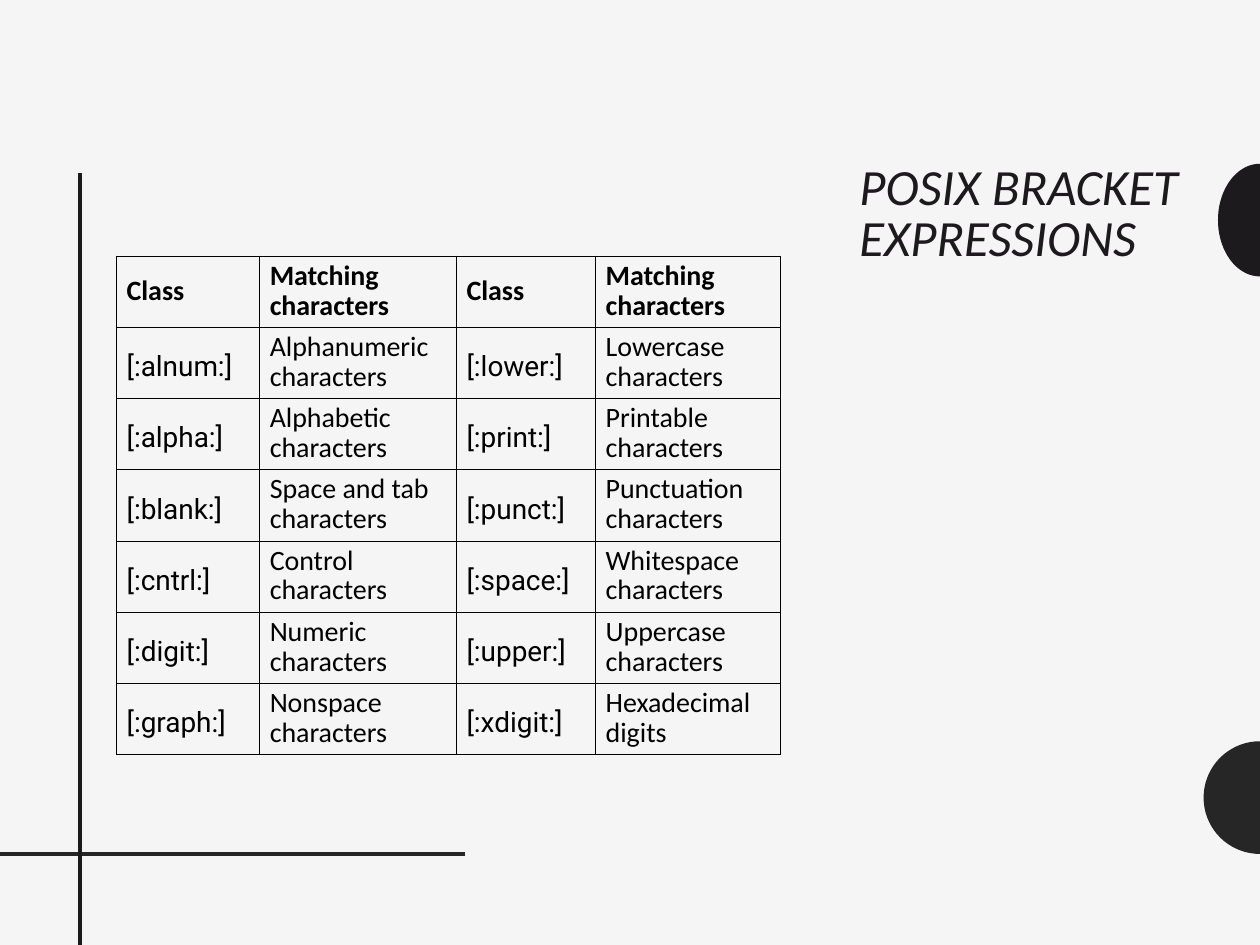
import math

import pptx
import pptx.dml.color
import pptx.enum.shapes
import pptx.enum.text
import pptx.oxml.ns
import pptx.util
from lxml import etree

Pt = pptx.util.Pt
RGBColor = pptx.dml.color.RGBColor

PAPER = RGBColor(0xF5, 0xF5, 0xF5)
CHARCOAL = RGBColor(0x26, 0x26, 0x26)
INK = RGBColor(0x1D, 0x1A, 0x1D)
BLACK = RGBColor(0x00, 0x00, 0x00)

SLIDE_WIDTH, SLIDE_HEIGHT = 720, 540

deck = pptx.Presentation()
deck.slide_width, deck.slide_height = Pt(SLIDE_WIDTH), Pt(SLIDE_HEIGHT)
page = deck.slides.add_slide(deck.slide_layouts[6])
page.background.fill.solid()
page.background.fill.fore_color.rgb = PAPER


def add_half_ellipse(center_y, radius_x, radius_y, color):
    """Draw the left half of an ellipse centred on the right slide edge."""
    points = []
    for step in range(37):
        angle = math.pi * step / 36
        points.append((Pt(SLIDE_WIDTH - radius_x * math.sin(angle)),
                       Pt(center_y - radius_y * math.cos(angle))))
    builder = page.shapes.build_freeform(*points[0])
    builder.add_line_segments(points[1:], close=True)
    shape = builder.convert_to_shape()
    shape.shadow.inherit = False
    shape.fill.solid()
    shape.fill.fore_color.rgb = color
    shape.line.fill.background()


def add_rule(start_x, start_y, end_x, end_y, color):
    rule = page.shapes.add_connector(
        pptx.enum.shapes.MSO_CONNECTOR.STRAIGHT,
        Pt(start_x), Pt(start_y), Pt(end_x), Pt(end_y))
    rule.line.color.rgb = color
    rule.line.width = Pt(2)
    etree.SubElement(rule._element.spPr, pptx.oxml.ns.qn("a:effectLst"))


# Edge ornaments and rules
add_half_ellipse(455.8, 32.2, 32.2, CHARCOAL)
add_rule(0, 488, 265.7, 488, CHARCOAL)
add_rule(45.6, 99, 45.6, SLIDE_HEIGHT, INK)
add_half_ellipse(125.8, 24, 32.2, INK)

# Title
box = page.shapes.add_textbox(Pt(484), Pt(90), Pt(198), Pt(336))
box.text_frame.word_wrap = True
para = box.text_frame.paragraphs[0]
para.text = "POSIX BRACKET EXPRESSIONS"
para.line_spacing = 0.85
para.font.name = "Calibri"
para.font.size = Pt(29)
para.font.italic = True
para.font.color.rgb = INK

# Table of character classes
ROWS = [
    ("Class", "Matching characters", "Class", "Matching characters"),
    ("[:alnum:]", "Alphanumeric characters", "[:lower:]", "Lowercase characters"),
    ("[:alpha:]", "Alphabetic characters", "[:print:]", "Printable characters"),
    ("[:blank:]", "Space and tab characters", "[:punct:]", "Punctuation characters"),
    ("[:cntrl:]", "Control characters", "[:space:]", "Whitespace characters"),
    ("[:digit:]", "Numeric characters", "[:upper:]", "Uppercase characters"),
    ("[:graph:]", "Nonspace characters", "[:xdigit:]", "Hexadecimal digits"),
]
COLUMN_WIDTHS = [81.8, 112.5, 79.5, 105.6]
ROW_HEIGHT = 40.73

table = page.shapes.add_table(
    len(ROWS), len(COLUMN_WIDTHS), Pt(66.6), Pt(146.4),
    Pt(sum(COLUMN_WIDTHS)), Pt(ROW_HEIGHT * len(ROWS))).table
table.first_row = False
table.horz_banding = False
for column, width in zip(table.columns, COLUMN_WIDTHS):
    column.width = Pt(width)

for row_index, texts in enumerate(ROWS):
    table.rows[row_index].height = Pt(ROW_HEIGHT)
    for column_index, text in enumerate(texts):
        is_header = row_index == 0
        is_class_name = not is_header and column_index % 2 == 0
        cell = table.cell(row_index, column_index)
        cell.vertical_anchor = pptx.enum.text.MSO_ANCHOR.MIDDLE
        cell.margin_left = cell.margin_right = Pt(5.8)
        cell.margin_top = Pt(2.9 if is_class_name else 2.2)
        cell.margin_bottom = Pt(2.9)

        # Borders come before the fill in the cell properties
        properties = cell._tc.get_or_add_tcPr()
        for side in ("lnL", "lnR", "lnT", "lnB"):
            border = etree.SubElement(
                properties, pptx.oxml.ns.qn("a:" + side), w=str(Pt(0.75)))
            fill = etree.SubElement(border, pptx.oxml.ns.qn("a:solidFill"))
            etree.SubElement(fill, pptx.oxml.ns.qn("a:srgbClr"), val=str(BLACK))
        cell.fill.background()

        para = cell.text_frame.paragraphs[0]
        para.text = text
        para.line_spacing = 1.25 if is_class_name else 0.87
        para.font.name = "Roboto" if is_class_name else "Calibri"
        para.font.size = Pt(16)
        para.font.bold = is_header
        para.font.color.rgb = BLACK

deck.save("out.pptx")
